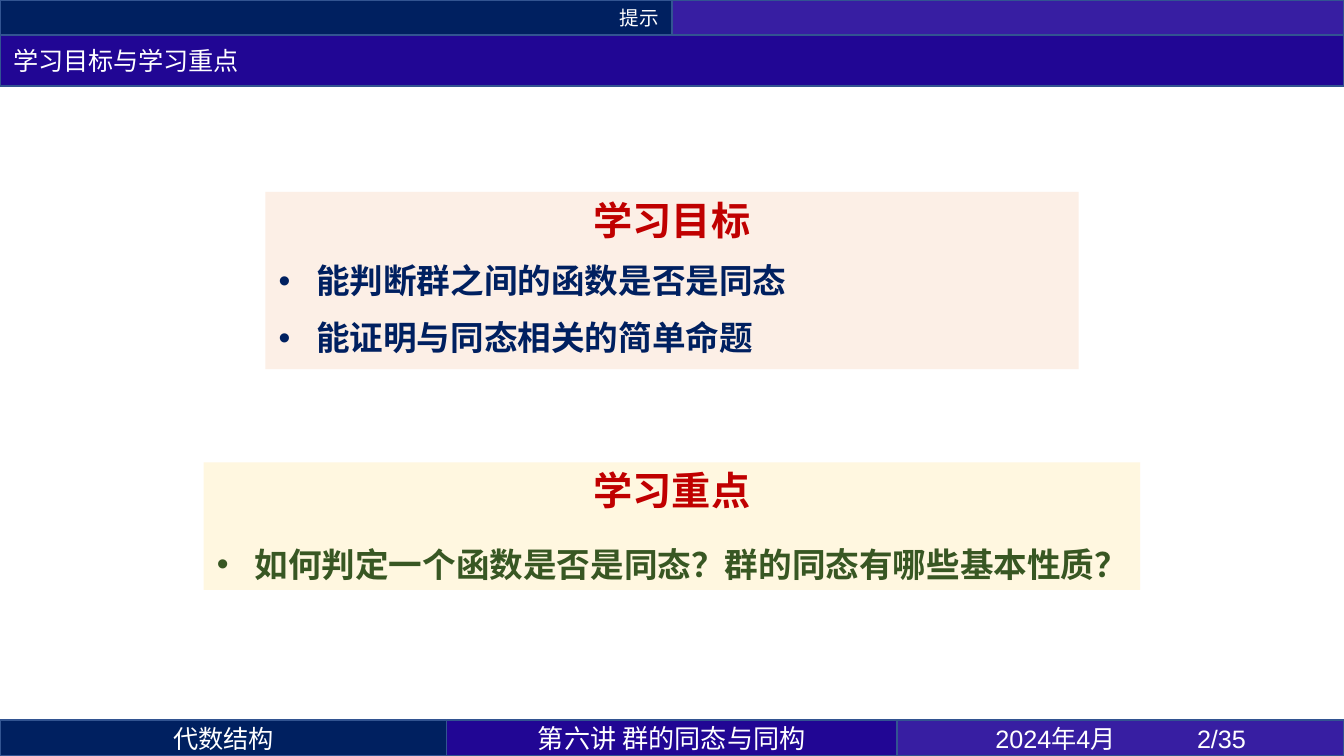
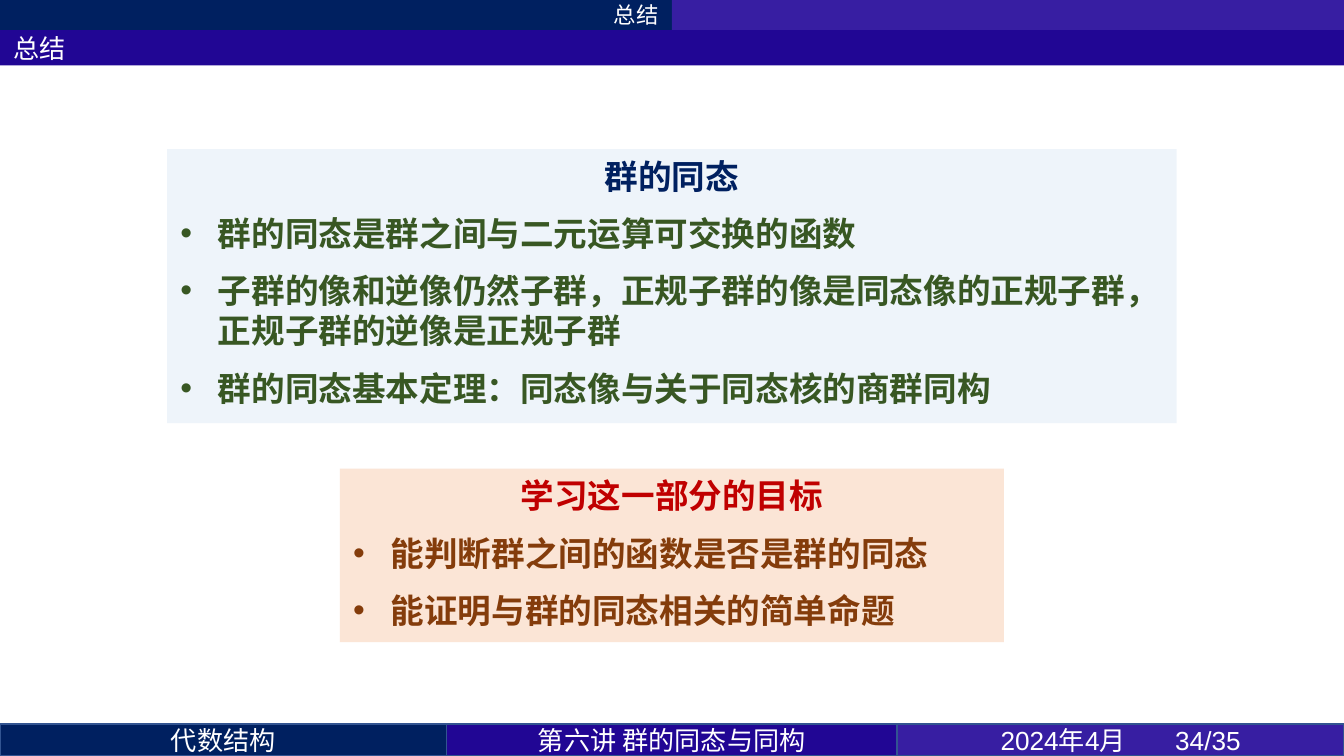
"""Build the goals and summary slides of a lecture on group homomorphisms."""
from dataclasses import dataclass

from lxml import etree
from pptx import Presentation
from pptx.dml.color import RGBColor
from pptx.enum.shapes import MSO_SHAPE
from pptx.enum.text import MSO_ANCHOR, MSO_AUTO_SIZE, PP_ALIGN
from pptx.oxml.ns import qn
from pptx.util import Cm, Pt

RECTANGLE = MSO_SHAPE.RECTANGLE
MIDDLE, TOP = MSO_ANCHOR.MIDDLE, MSO_ANCHOR.TOP
GROW = MSO_AUTO_SIZE.SHAPE_TO_FIT_TEXT
LEFT, CENTER, RIGHT = PP_ALIGN.LEFT, PP_ALIGN.CENTER, PP_ALIGN.RIGHT


@dataclass(frozen=True)
class Theme:
    navy: str = "002060"
    indigo: str = "210694"
    violet: str = "371EA2"
    outline: str = "325491"
    white: str = "FFFFFF"
    red: str = "C00000"
    green: str = "385723"
    brown: str = "843C0B"
    peach: str = "FBE5D6"
    cream: str = "FFF2CC"
    ice: str = "DEEBF7"
    cjk: str = "Noto Sans CJK SC"
    sans: str = "Arial"
    heading: str = "Calibri"
    east_asian: str = "Calibri"
    small: float = 10.5
    section: float = 12
    bar: float = 13.5
    title: float = 14
    body: float = 18
    large: float = 21


THEME = Theme()
PAGE_WIDTH, PAGE_HEIGHT = 25.4, 14.29
HALF = PAGE_WIDTH / 2
SIDE = 8.44
INDENT = 0.71

PAGES = [
    dict(
        section="提示", title="学习目标与学习重点", page_number="2/35", tab=3.81,
        section_height=0.67, title_height=0.96, footer_height=0.68,
        section_size=THEME.small, title_size=THEME.bar, footer_size=THEME.bar,
        header_outline=THEME.outline,
        panels=[
            dict(top=3.63, width=15.37, height=3.35, fill=THEME.peach, opacity=60,
                 heading="学习目标", heading_font=THEME.cjk, heading_size=THEME.large,
                 heading_color=THEME.red, heading_before=4.5, heading_leading=24,
                 body_font=THEME.sans, body_color=THEME.navy, body_leading=None,
                 items=["能判断群之间的函数是否是同态", "能证明与同态相关的简单命题"],
                 item_before=4.5),
            dict(top=8.74, width=17.7, height=2.41, fill=THEME.cream, opacity=60,
                 heading="学习重点", heading_font=THEME.cjk, heading_size=THEME.large,
                 heading_color=THEME.red, heading_before=9, heading_leading=24,
                 body_font=THEME.sans, body_color=THEME.green, body_leading=24,
                 items=["如何判定一个函数是否是同态？群的同态有哪些基本性质？"],
                 item_before=9),
        ],
    ),
    dict(
        section="总结", title="总结", page_number="34/35", tab=3.3,
        section_height=0.57, title_height=0.67, footer_height=0.6,
        section_size=THEME.section, title_size=THEME.title, footer_size=THEME.title,
        header_outline=None,
        panels=[
            dict(top=2.82, width=19.08, height=5.18, fill=THEME.ice, opacity=50,
                 heading="群的同态", heading_font=THEME.heading, heading_size=THEME.body,
                 heading_color=THEME.navy, heading_before=4.5, heading_leading=None,
                 body_font=THEME.cjk, body_color=THEME.green, body_leading=None,
                 items=["群的同态是群之间与二元运算可交换的函数",
                        "子群的像和逆像仍然子群，正规子群的像是同态像的正规子群，"
                        "正规子群的逆像是正规子群",
                        "群的同态基本定理：同态像与关于同态核的商群同构"],
                 item_before=4.5),
            dict(top=8.86, width=12.55, height=3.28, fill=THEME.peach, opacity=100,
                 heading="学习这一部分的目标", heading_font=THEME.heading,
                 heading_size=THEME.body, heading_color=THEME.red,
                 heading_before=0, heading_leading=None,
                 body_font=THEME.cjk, body_color=THEME.brown, body_leading=None,
                 items=["能判断群之间的函数是否是群的同态", "能证明与群的同态相关的简单命题"],
                 item_before=4.5),
        ],
    ),
]


def add_box(page, left, top, width, height, fill, outline=None, anchor=MIDDLE):
    box = page.shapes.add_shape(RECTANGLE, Cm(left), Cm(top), Cm(width), Cm(height))
    box.shadow.inherit = False
    box.fill.solid()
    box.fill.fore_color.rgb = RGBColor.from_string(fill)
    if outline:
        box.line.color.rgb = RGBColor.from_string(outline)
        box.line.width = Pt(1)
    else:
        box.line.fill.background()
    box.text_frame.word_wrap = True
    box.text_frame.vertical_anchor = anchor
    return box


def add_span(para, text, font, size, color, align, bold=False):
    para.alignment = align
    span = para.add_run()
    span.text = text
    span.font.name = font
    span.font.size = Pt(size)
    span.font.bold = bold
    span.font.color.rgb = RGBColor.from_string(color)
    properties = span.font._element
    etree.SubElement(properties, qn("a:ea"), typeface=THEME.east_asian)


deck = Presentation()
deck.slide_width, deck.slide_height = Cm(PAGE_WIDTH), Cm(PAGE_HEIGHT)

for content in PAGES:
    page = deck.slides.add_slide(deck.slide_layouts[6])

    outline = content["header_outline"]
    section_height = content["section_height"]
    section = add_box(page, 0, 0, HALF, section_height, THEME.navy, outline)
    add_span(section.text_frame.paragraphs[0], content["section"], THEME.cjk,
             content["section_size"], THEME.white, RIGHT)
    add_box(page, HALF, 0, HALF, section_height, THEME.violet, outline)
    title = add_box(page, 0, section_height, PAGE_WIDTH, content["title_height"],
                    THEME.indigo, outline)
    add_span(title.text_frame.paragraphs[0], content["title"], THEME.heading,
             content["title_size"], THEME.white, LEFT)

    for panel in content["panels"]:
        box = add_box(page, (PAGE_WIDTH - panel["width"]) / 2, panel["top"],
                      panel["width"], panel["height"], panel["fill"], anchor=TOP)
        if panel["opacity"] < 100:
            color = box.fill._xPr.find(qn("a:solidFill"))[0]
            etree.SubElement(color, qn("a:alpha"), val=str(panel["opacity"] * 1000))
        frame = box.text_frame
        frame.auto_size = GROW
        para = frame.paragraphs[0]
        add_span(para, panel["heading"], panel["heading_font"], panel["heading_size"],
                 panel["heading_color"], CENTER, bold=True)
        para.space_before, para.space_after = Pt(panel["heading_before"]), Pt(4.5)
        if panel["heading_leading"]:
            para.line_spacing = Pt(panel["heading_leading"])
        for item in panel["items"]:
            para = frame.add_paragraph()
            add_span(para, item, panel["body_font"], THEME.body, panel["body_color"],
                     LEFT, bold=True)
            para.space_before, para.space_after = Pt(panel["item_before"]), Pt(4.5)
            if panel["body_leading"]:
                para.line_spacing = Pt(panel["body_leading"])
            properties = para._p.get_or_add_pPr()
            properties.set("marL", str(Cm(INDENT)))
            properties.set("indent", str(-Cm(INDENT)))
            etree.SubElement(properties, qn("a:buFont"), typeface=THEME.sans)
            etree.SubElement(properties, qn("a:buChar"), char="•")

    footer_height = content["footer_height"]
    footer_size = content["footer_size"]
    footer = [
        (0, SIDE, THEME.navy, "代数结构", THEME.cjk, footer_size),
        (SIDE, PAGE_WIDTH - 2 * SIDE, THEME.indigo, "第六讲 群的同态与同构",
         THEME.cjk, THEME.title),
        (PAGE_WIDTH - SIDE, SIDE, THEME.violet, "2024年4月\t" + content["page_number"],
         THEME.sans, footer_size),
    ]
    for left, width, fill, text, font, size in footer:
        box = add_box(page, left, PAGE_HEIGHT - footer_height, width, footer_height,
                      fill, THEME.outline)
        para = box.text_frame.paragraphs[0]
        add_span(para, text, font, size, THEME.white, CENTER)
    tabs = etree.SubElement(para._p.get_or_add_pPr(), qn("a:tabLst"))
    etree.SubElement(tabs, qn("a:tab"), pos=str(Cm(content["tab"])), algn="l")

deck.save("out.pptx")
